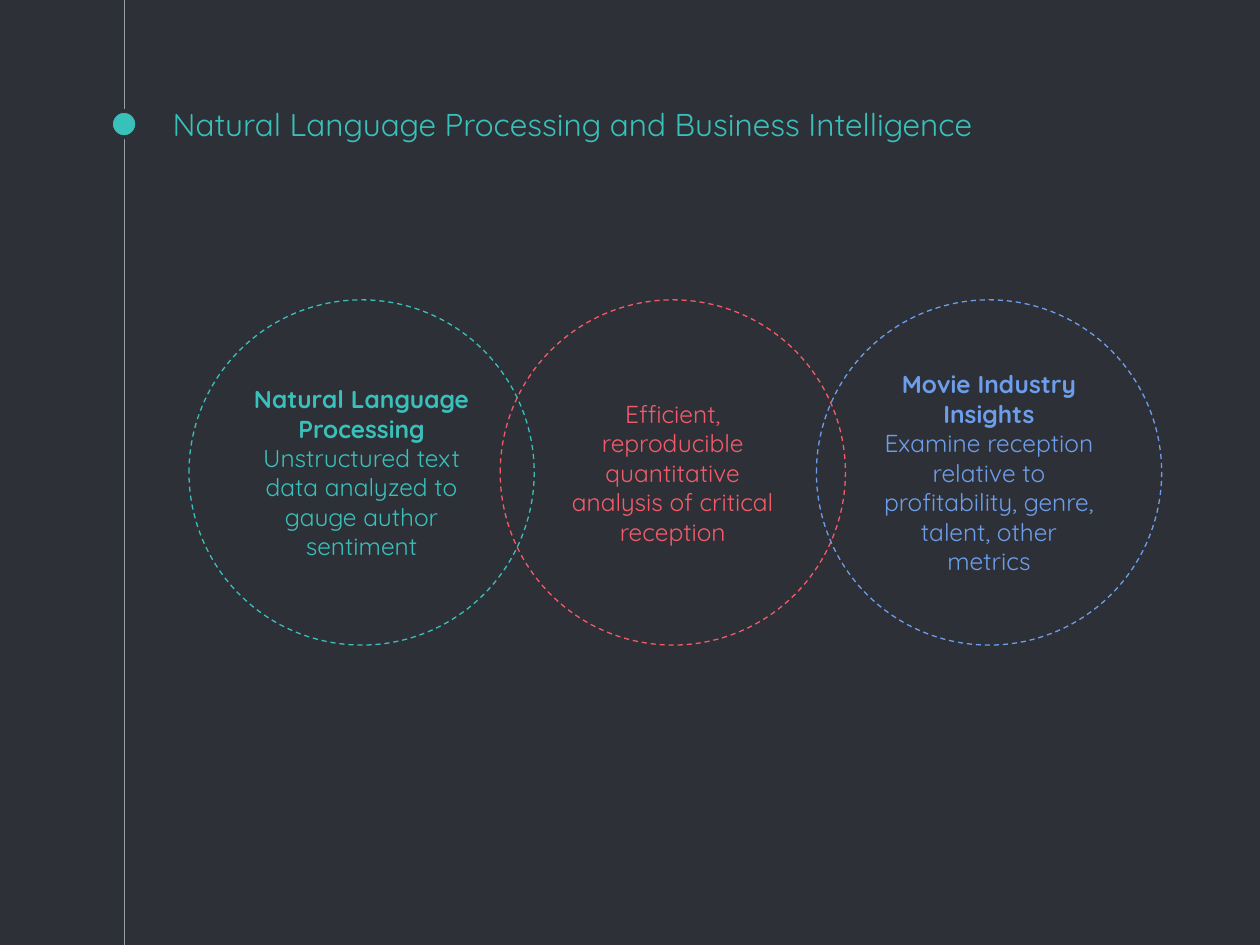
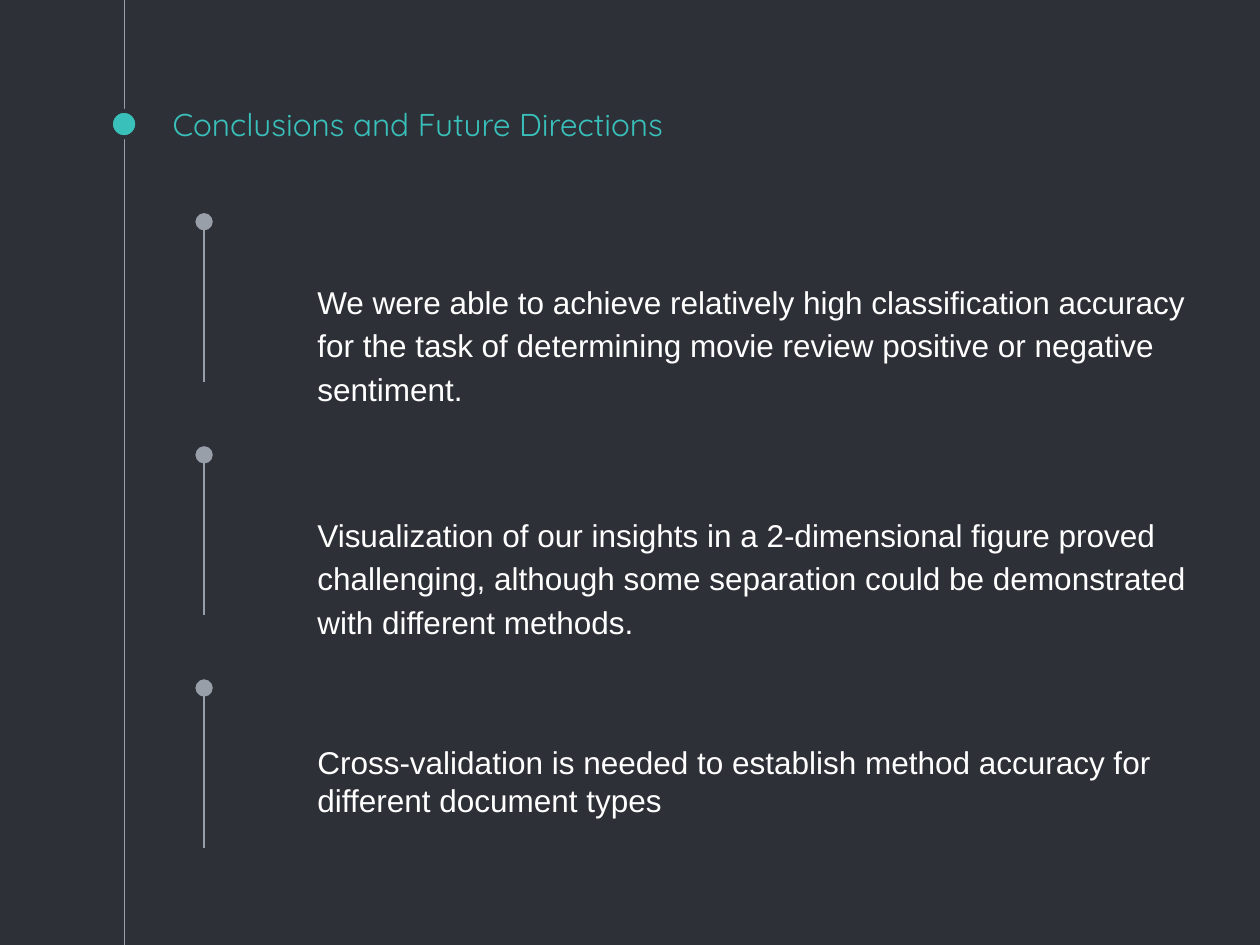
"""Build two timeline-styled slides on language processing and its conclusions."""
from dataclasses import dataclass

from lxml import etree
from pptx import Presentation
from pptx import util as u
from pptx.dml.color import RGBColor
from pptx.enum import dml, shapes, text
from pptx.oxml import ns

PX = u.Inches(1) // 100

SLATE = RGBColor(0x2E, 0x30, 0x37)
GREY = RGBColor(0x99, 0x9F, 0xA9)
TEAL = RGBColor(0x39, 0xC0, 0xBA)
CORAL = RGBColor(0xF3, 0x5B, 0x69)
BLUE = RGBColor(0x6D, 0x9E, 0xEB)
WHITE = RGBColor(0xFF, 0xFF, 0xFF)

HEADING_FONT = "Quicksand"
BODY_FONT = "Arial"
INSET = 10
RAIL_X = 99
CIRCLE_TOP, CIRCLE_SIZE = 238, 274
MARKER_X, MARKER_TOP, MARKER_LENGTH = 162, 176, 127
FINDING_X, FINDING_TOP, FINDING_STEP = 242, 210, 185


@dataclass(frozen=True)
class Phrase:
    wording: str
    bold: bool = False


@dataclass(frozen=True)
class Circle:
    left: int
    color: RGBColor
    paragraphs: tuple[tuple[Phrase, ...], ...]


@dataclass(frozen=True)
class Finding:
    wording: str
    width: int = 735
    height: int = 142
    spacing: float = 1.15


CIRCLES = (
    Circle(397, CORAL, (
        (Phrase("Efficient, reproducible quantitative analysis of critical reception"),),
    )),
    Circle(150, TEAL, (
        (Phrase("Natural Language Processing", True),
         Phrase(" Unstructured text data analyzed to gauge author sentiment")),
    )),
    Circle(648, BLUE, (
        (Phrase("Movie Industry Insights", True),),
        (Phrase("Examine reception relative to profitability, genre, talent, other metrics"),),
    )),
)

FINDINGS = (
    Finding("We were able to achieve relatively high classification accuracy for the task "
            "of determining movie review positive or negative sentiment.", height=147),
    Finding("Visualization of our insights in a 2-dimensional figure proved challenging, "
            "although some separation could be demonstrated with different methods."),
    Finding("Cross-validation is needed to establish method accuracy for different "
            "document types", width=742, spacing=1.0),
)


def px(*lengths: int) -> list[int]:
    """Turn pixel lengths into EMU."""
    return [length * PX for length in lengths]


def prepare_frame(frame, anchor) -> None:
    """Give a text frame the common insets, wrapping and an anchor."""
    frame.word_wrap = True
    frame.auto_size = text.MSO_AUTO_SIZE.NONE
    frame.vertical_anchor = anchor
    frame.margin_left = frame.margin_right = INSET * PX
    frame.margin_top = frame.margin_bottom = INSET * PX


def add_phrase(paragraph, phrase: Phrase, font: str, size: int, color: RGBColor) -> None:
    """Append one formatted run to a paragraph."""
    run = paragraph.add_run()
    run.text = phrase.wording
    run.font.name = font
    run.font.size = u.Pt(size)
    run.font.bold = phrase.bold
    run.font.color.rgb = color


def add_vertical(slide, x: int, start: int, end: int, dotted_end: bool = False) -> None:
    """Draw a thin grey vertical line, with an oval at its end if asked."""
    line = slide.shapes.add_connector(
        shapes.MSO_CONNECTOR.STRAIGHT, *px(x, start, x, end))
    line.line.color.rgb = GREY
    line.line.width = u.Pt(0.75)
    if dotted_end:
        etree.SubElement(line.get_or_add_ln(), ns.qn("a:tailEnd"),
                         type="oval", w="lg", len="lg")
    etree.SubElement(line._element.spPr, ns.qn("a:effectLst"))


def add_ellipse(slide, left: int, top: int, size: int, outline: RGBColor, weight: float):
    """Draw a round shape with an outline and no shadow."""
    ellipse = slide.shapes.add_shape(
        shapes.MSO_SHAPE.OVAL, *px(left, top, size, size))
    ellipse.shadow.inherit = False
    ellipse.line.color.rgb = outline
    ellipse.line.width = u.Pt(weight)
    return ellipse


def add_timeline_slide(prs, heading: str):
    """Add a slide with the shared rail, dot and title."""
    slide = prs.slides.add_slide(prs.slide_layouts[5])
    add_vertical(slide, RAIL_X, 0, 750)
    dot = add_ellipse(slide, 88, 88, 21, SLATE, 2.25)
    dot.fill.solid()
    dot.fill.fore_color.rgb = TEAL
    title = slide.shapes.title
    title.left, title.top, title.width, title.height = px(127, 73, 750, 50)
    prepare_frame(title.text_frame, text.MSO_ANCHOR.BOTTOM)
    paragraph = title.text_frame.paragraphs[0]
    paragraph.alignment = text.PP_ALIGN.LEFT
    add_phrase(paragraph, Phrase(heading), HEADING_FONT, 18, TEAL)
    return slide


def add_circle(slide, circle: Circle) -> None:
    """Draw one dashed circle with its centred text."""
    ring = add_ellipse(slide, circle.left, CIRCLE_TOP, CIRCLE_SIZE, circle.color, 0.75)
    ring.fill.background()
    ring.line.dash_style = dml.MSO_LINE.DASH
    frame = ring.text_frame
    prepare_frame(frame, text.MSO_ANCHOR.MIDDLE)
    for index, phrases in enumerate(circle.paragraphs):
        paragraph = frame.add_paragraph() if index else frame.paragraphs[0]
        paragraph.alignment = text.PP_ALIGN.CENTER
        for phrase in phrases:
            add_phrase(paragraph, phrase, HEADING_FONT, 14, circle.color)


def add_finding(slide, finding: Finding, row: int) -> None:
    """Draw one conclusion with its marker line."""
    offset = row * FINDING_STEP
    marker_top = MARKER_TOP + offset
    add_vertical(slide, MARKER_X, marker_top + MARKER_LENGTH, marker_top, dotted_end=True)
    box = slide.shapes.add_textbox(
        *px(FINDING_X, FINDING_TOP + offset, finding.width, finding.height))
    prepare_frame(box.text_frame, text.MSO_ANCHOR.TOP)
    paragraph = box.text_frame.paragraphs[0]
    paragraph.line_spacing = finding.spacing
    add_phrase(paragraph, Phrase(finding.wording), BODY_FONT, 18, WHITE)


def main() -> None:
    """Build and save the presentation."""
    prs = Presentation()
    prs.slide_width, prs.slide_height = px(1000, 750)
    backdrop = prs.slide_master.background.fill
    backdrop.solid()
    backdrop.fore_color.rgb = SLATE

    overview = add_timeline_slide(
        prs, "Natural Language Processing and Business Intelligence")
    for circle in CIRCLES:
        add_circle(overview, circle)

    conclusions = add_timeline_slide(prs, "Conclusions and Future Directions")
    for row, finding in enumerate(FINDINGS):
        add_finding(conclusions, finding, row)

    prs.save("out.pptx")


if __name__ == "__main__":
    main()
